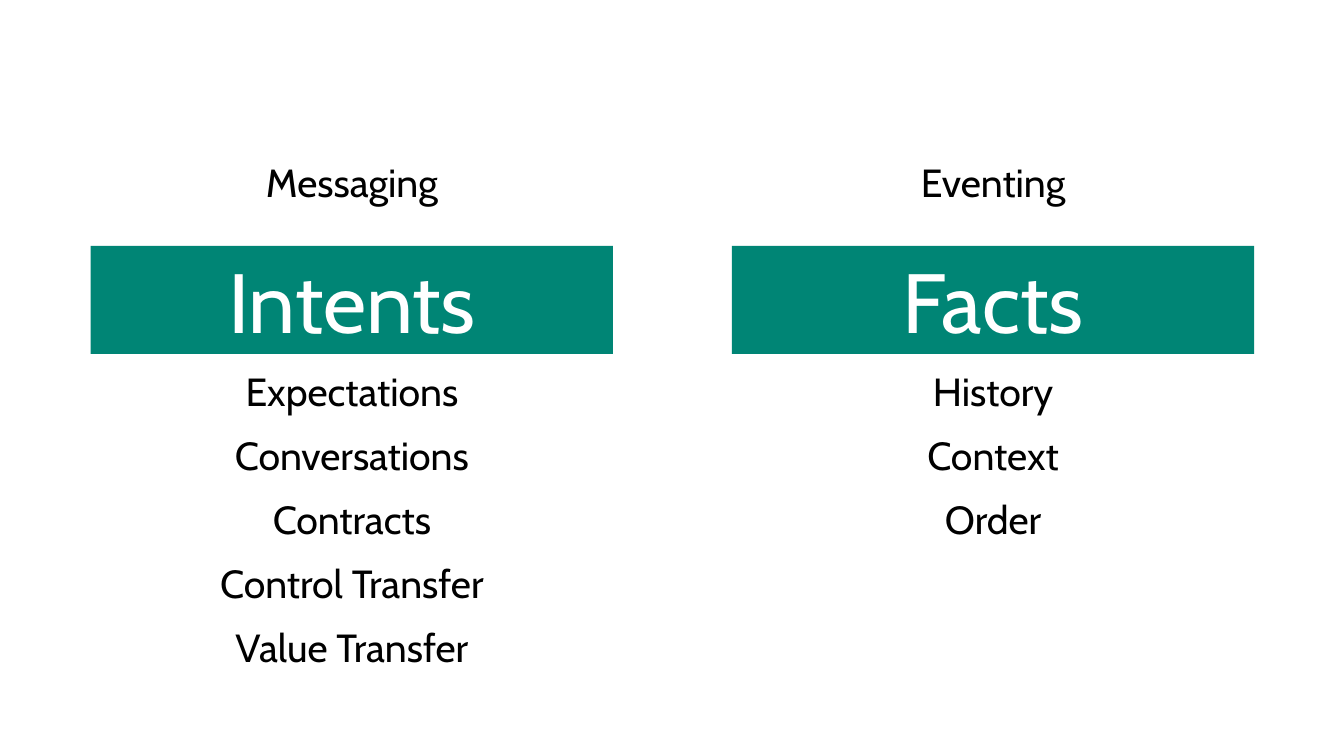
from pptx import Presentation
from pptx.dml.color import RGBColor
from pptx.enum import shapes, text
from pptx.util import Inches, Pt

COLUMNS = [
    ("Messaging", "Intents", ["Expectations", "Conversations", "Contracts",
                              "Control Transfer", "Value Transfer"]),
    ("Eventing", "Facts", ["History", "Context", "Order"]),
]
TEAL = RGBColor(0x00, 0x85, 0x75)
WHITE = RGBColor(0xFF, 0xFF, 0xFF)
BLACK = RGBColor(0x00, 0x00, 0x00)
FONT = "Cabin"
LEFT, STEP, WIDTH = 0.64, 6.36, 5.7
INSET = 0.26
LINE = 0.64


def write(frame, lines, size, color, pad=(0, 0)):
    frame.word_wrap = True
    frame.margin_left = frame.margin_right = Inches(pad[0])
    frame.margin_top = frame.margin_bottom = Inches(pad[1])
    for i, line in enumerate(lines):
        para = frame.add_paragraph() if i else frame.paragraphs[0]
        para.alignment = text.PP_ALIGN.CENTER
        if i:
            para.space_before = Pt(12.2)
        run = para.add_run()
        run.text = line
        run.font.name = FONT
        run.font.size = Pt(size)
        run.font.color.rgb = color


def add_text(slide, left, top, lines):
    box = slide.shapes.add_textbox(Inches(left), Inches(top),
                                   Inches(WIDTH), Inches(LINE * len(lines)))
    write(box.text_frame, lines, 28, BLACK)


def add_band(slide, left, label):
    band = slide.shapes.add_shape(
        shapes.MSO_SHAPE.RECTANGLE, Inches(left + INSET), Inches(2.44),
        Inches(WIDTH - 2 * INSET), Inches(1.07))
    band.shadow.inherit = False
    band.fill.solid()
    band.fill.fore_color.rgb = TEAL
    band.line.fill.background()
    band.text_frame.vertical_anchor = text.MSO_ANCHOR.MIDDLE
    write(band.text_frame, [label], 60, WHITE, (0.2, 0.16))


def main():
    deck = Presentation()
    deck.slide_width, deck.slide_height = Inches(13.33), Inches(7.5)
    slide = deck.slides.add_slide(deck.slide_layouts[6])
    for i, (head, label, items) in enumerate(COLUMNS):
        left = LEFT + i * STEP
        add_text(slide, left, 1.57, [head])
        add_text(slide, left, 3.64, items)
        add_band(slide, left, label)
    deck.save("out.pptx")


if __name__ == "__main__":
    main()
